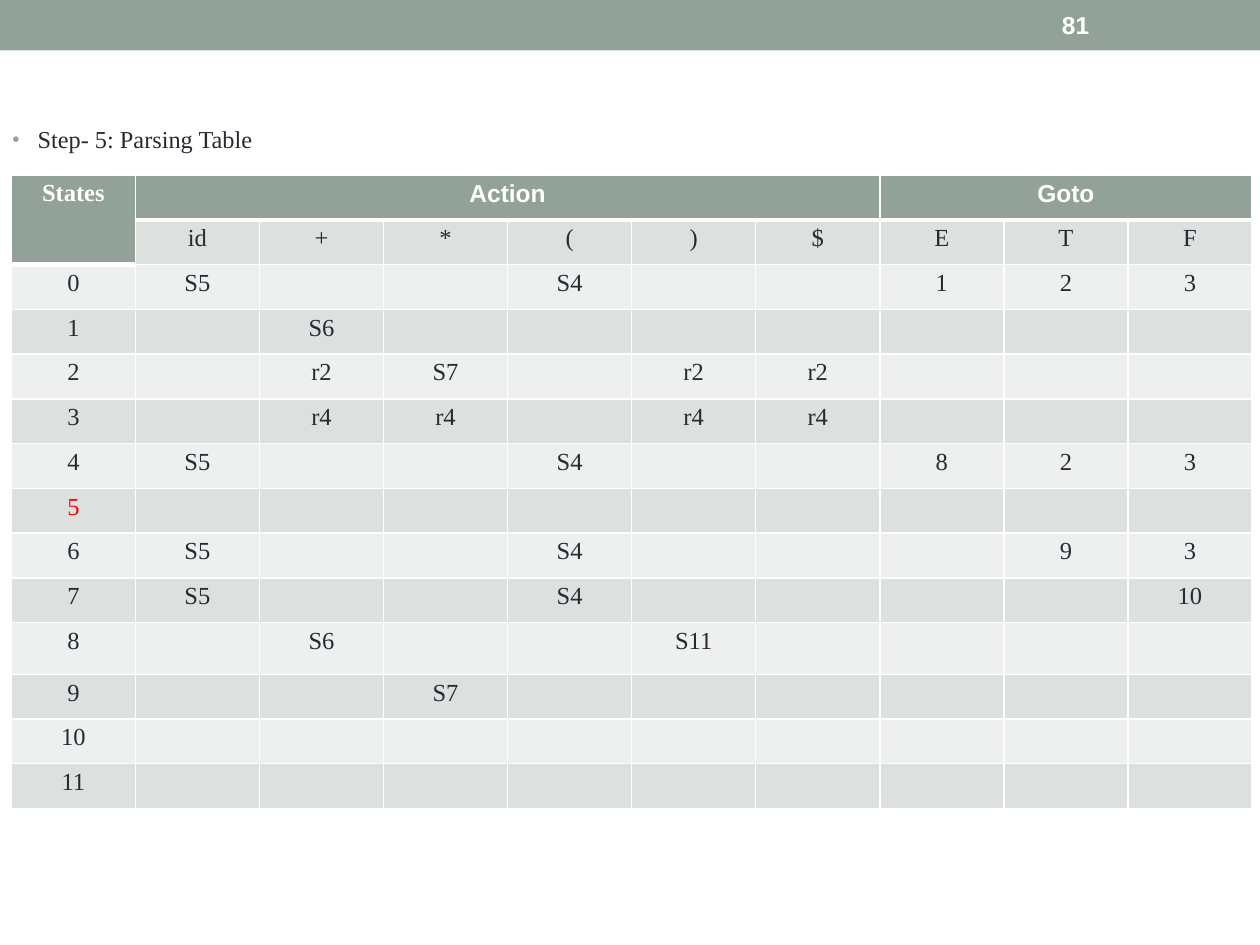
from lxml import etree
from pptx import Presentation, util as u
from pptx.dml.color import RGBColor
from pptx.enum import shapes, text
from pptx.oxml import ns

SAGE = RGBColor(0x93, 0xA2, 0x99)
INK = RGBColor(0x29, 0x29, 0x34)
WHITE = RGBColor(0xFF, 0xFF, 0xFF)
RED = RGBColor(0xFF, 0x00, 0x00)
BANDS = (RGBColor(0xEE, 0xF0, 0xEF), RGBColor(0xDC, 0xE0, 0xDE))
SERIF, SANS = "Times New Roman", "Arial"

SYMBOLS = ["id", "+", "*", "(", ")", "$", "E", "T", "F"]
ENTRIES = [  # one mapping for each state
    {"id": "S5", "(": "S4", "E": "1", "T": "2", "F": "3"},
    {"+": "S6"},
    {"+": "r2", "*": "S7", ")": "r2", "$": "r2"},
    {"+": "r4", "*": "r4", ")": "r4", "$": "r4"},
    {"id": "S5", "(": "S4", "E": "8", "T": "2", "F": "3"},
    {},
    {"id": "S5", "(": "S4", "T": "9", "F": "3"},
    {"id": "S5", "(": "S4", "F": "10"},
    {"+": "S6", ")": "S11"},
    {"*": "S7"},
    {},
    {},
]


def style(para, face, size, colour, bold=False):
    for span in para.runs:
        span.font.name = face
        span.font.size = u.Pt(size)
        span.font.color.rgb = colour
        span.font.bold = bold


def add_border(cell, side, points):
    line = etree.SubElement(cell._tc.get_or_add_tcPr(), ns.qn(f"a:ln{side}"), w=str(u.Pt(points)))
    fill = etree.SubElement(line, ns.qn("a:solidFill"))
    etree.SubElement(fill, ns.qn("a:srgbClr"), val=str(WHITE))


deck = Presentation()
deck.slide_width, deck.slide_height = u.Inches(10), u.Inches(7.5)
page = deck.slides.add_slide(deck.slide_layouts[6])

# Top band
band = page.shapes.add_shape(shapes.MSO_SHAPE.RECTANGLE, 0, 0, deck.slide_width, u.Inches(0.4))
band.shadow.inherit = False
band.fill.solid()
band.fill.fore_color.rgb = SAGE
band.line.fill.background()

# Bulleted heading
heading = page.shapes.add_textbox(0, u.Inches(0.94), u.Inches(2.22), u.Inches(0.42))
heading.text_frame.word_wrap = True
para = heading.text_frame.paragraphs[0]
para.text = "Step- 5: Parsing Table"
props = para._p.get_or_add_pPr()
props.set("marL", str(u.Inches(0.2)))
props.set("indent", str(-u.Inches(0.2)))
bullet_colour = etree.SubElement(props, ns.qn("a:buClr"))
etree.SubElement(bullet_colour, ns.qn("a:srgbClr"), val=str(SAGE))
etree.SubElement(props, ns.qn("a:buSzPct"), val="85000")
etree.SubElement(props, ns.qn("a:buFont"), typeface=SANS)
etree.SubElement(props, ns.qn("a:buChar"), char="•")
style(para, SERIF, 13.9, INK)

# Page number
number = page.shapes.add_textbox(u.Inches(8.33), u.Inches(0.02), u.Inches(1.17), u.Inches(0.36))
number.text_frame.word_wrap = True
number.text_frame.vertical_anchor = text.MSO_ANCHOR.MIDDLE
number.text_frame.text = "81"
style(number.text_frame.paragraphs[0], SANS, 14, WHITE, True)

# Parsing table: two header rows, then one row for each state
rows = [["States", "Action"] + [""] * 5 + ["Goto", "", ""], [""] + SYMBOLS]
for state, entry in enumerate(ENTRIES):
    rows.append([str(state)] + [entry.get(symbol, "") for symbol in SYMBOLS])

width, height, tall_row, tall_height = u.Inches(9.85), u.Inches(5.03), 10, u.Inches(0.41)
table = page.shapes.add_table(
    len(rows), len(rows[0]), u.Inches(0.09), u.Inches(1.39), width, height).table
for column in table.columns:
    column.width = width // len(rows[0])
for index, row in enumerate(table.rows):
    row.height = tall_height if index == tall_row else (height - tall_height) // (len(rows) - 1)

table.cell(0, 0).merge(table.cell(1, 0))
table.cell(0, 1).merge(table.cell(0, 6))
table.cell(0, 7).merge(table.cell(0, 9))

for r, values in enumerate(rows):
    for c, value in enumerate(values):
        cell = table.cell(r, c)
        header_rows = 2 if c == 0 else 1
        in_header = r < header_rows
        cell.margin_left = cell.margin_right = u.Inches(0.07)
        cell.margin_top = cell.margin_bottom = u.Inches(0.04)
        add_border(cell, "L", 1)
        add_border(cell, "R", 1)
        add_border(cell, "T", 3 if r == header_rows else 1)
        add_border(cell, "B", 3 if in_header else 1)
        cell.fill.solid()
        cell.fill.fore_color.rgb = SAGE if in_header else BANDS[r % 2]

        para = cell.text_frame.paragraphs[0]
        para.alignment = text.PP_ALIGN.CENTER
        if value:
            para.text = value
            face = SANS if r == 0 and c > 0 else SERIF
            colour = WHITE if in_header else RED if (c, value) == (0, "5") else INK
            style(para, face, 14, colour, in_header)
        else:  # keeps empty cells from stretching their row
            etree.SubElement(para._p, ns.qn("a:endParaRPr"), sz="1400")

deck.save("out.pptx")
